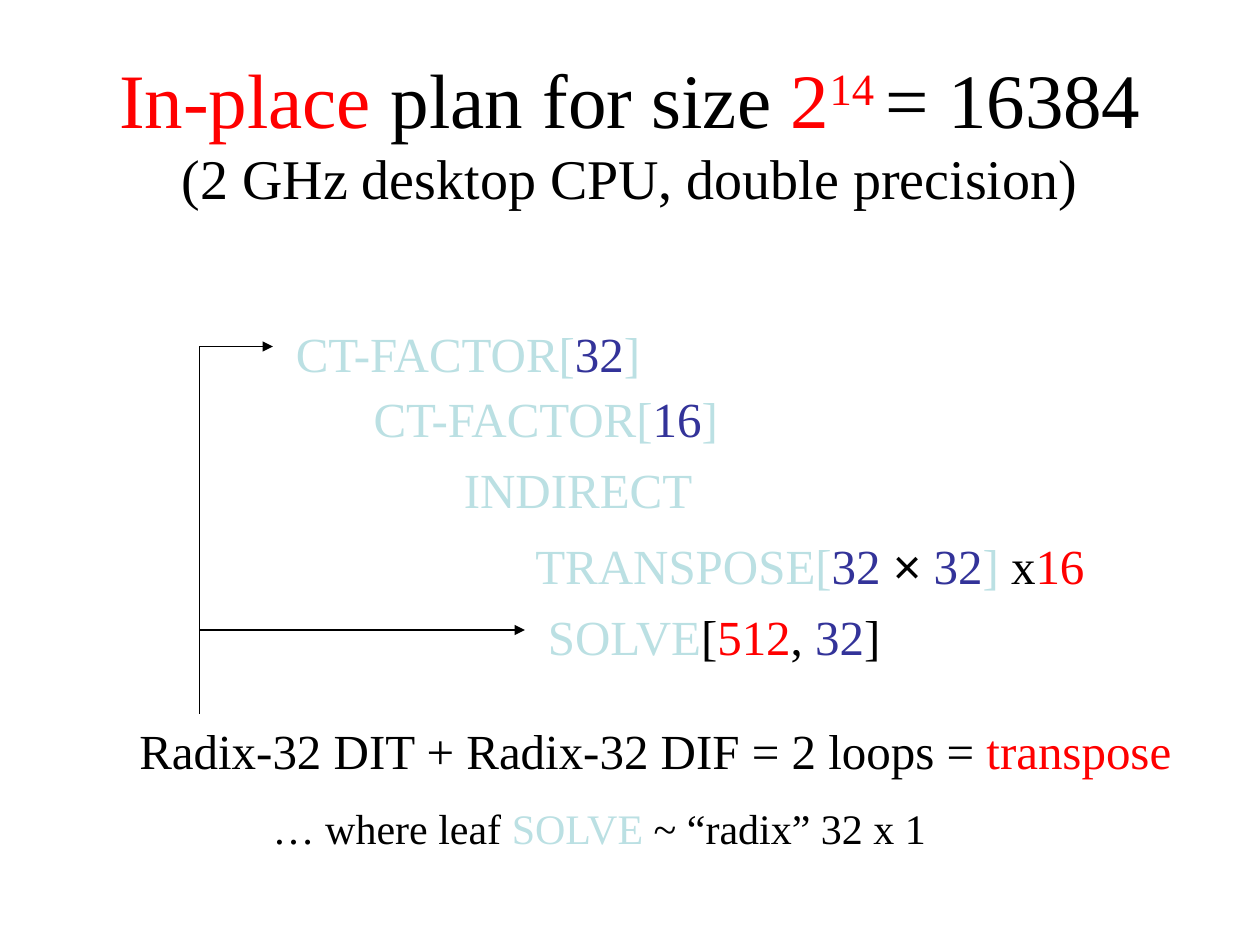
"""Build the slide on the in-place transform plan for size 16384."""
from dataclasses import dataclass
from typing import NamedTuple

from lxml import etree
from pptx import Presentation
from pptx.dml.color import RGBColor
from pptx.enum.shapes import MSO_CONNECTOR
from pptx.enum.text import MSO_ANCHOR, MSO_AUTO_SIZE, PP_ALIGN
from pptx.oxml.ns import qn
from pptx.util import Inches, Pt

STRAIGHT = MSO_CONNECTOR.STRAIGHT
MIDDLE = MSO_ANCHOR.MIDDLE
CENTER, LEFT = PP_ALIGN.CENTER, PP_ALIGN.LEFT
FIT_SHAPE, NO_FIT = MSO_AUTO_SIZE.SHAPE_TO_FIT_TEXT, MSO_AUTO_SIZE.NONE
TITLE_ONLY = 5
COLUMNS, ROWS = 120, 90
WIDTH, HEIGHT = Inches(10), Inches(7.5)


@dataclass(frozen=True)
class Theme:
    ink: str = "000000"
    accent: str = "FF0000"
    operation: str = "BBE0E3"
    number: str = "333399"
    font: str = "Times New Roman"
    symbol_font: str = "Arial"
    title: int = 44
    subtitle: int = 32
    step: int = 28
    remark: int = 24
    line: float = 0.75


THEME = Theme()


class Span(NamedTuple):
    text: str
    color: str = THEME.ink
    size: int | None = None
    font: str = THEME.font
    baseline: int = 0


class Line(NamedTuple):
    column: float
    row: float
    columns: float
    rows: float
    spans: tuple[Span, ...]
    size: int = THEME.step


class Route(NamedTuple):
    start: tuple[float, float]
    end: tuple[float, float]
    arrow: bool


def operation(text: str) -> Span:
    return Span(text, THEME.operation)


def number(text: str) -> Span:
    return Span(text, THEME.number)


def accent(text: str, **style) -> Span:
    return Span(text, THEME.accent, **style)


HEADING = (
    accent("In-place"), Span(" plan for size "), accent("2"),
    accent("14 ", baseline=30000), Span("= 16384\v"),
    Span("(2 GHz desktop CPU, double precision)", size=THEME.subtitle),
)
LINES = (
    Line(27, 30.25, 36, 6.8, (operation("CT-FACTOR["), number("32"), operation("]"))),
    Line(34.4, 36.4, 36, 6.8, (operation("CT-FACTOR["), number("16"), operation("]"))),
    Line(43, 43.2, 25, 6.8, (operation("INDIRECT"),)),
    Line(51, 57.2, 35, 6.8, (operation("SOLVE"), Span("["), accent("512"),
                             Span(", "), number("32"), Span("]"))),
    Line(49.8, 50.4, 56, 6.8, (operation("TRANSPOSE["), number("32 "),
                               Span("×", font=THEME.symbol_font), number(" 32"),
                               operation("] "), Span("x"), accent("16"))),
    Line(12.1, 68, 101, 6.8, (Span("Radix-32 DIT + Radix-32 DIF = 2 loops = "),
                              accent("transpose"))),
    Line(24.8, 75.8, 65, 6, (Span("… where leaf "), operation("SOLVE"),
                             Span(" ~ “radix” 32 x 1")), THEME.remark),
)
ROUTES = (
    Route((26, 33), (19, 33), True),
    Route((19, 33), (19, 68), False),
    Route((50, 60), (19, 60), True),
)


def across(columns: float) -> int:
    return round(WIDTH * columns / COLUMNS)


def down(rows: float) -> int:
    return round(HEIGHT * rows / ROWS)


def write(frame, spans: tuple[Span, ...], *, size: int, align=LEFT,
          wrap: bool = False, fit=FIT_SHAPE) -> None:
    frame.word_wrap = wrap
    frame.auto_size = fit
    paragraph = frame.paragraphs[0]
    paragraph.alignment = align
    for span in spans:
        head, *rest = span.text.split("\v")
        run = paragraph.add_run()
        run.text = head
        run.font.name = span.font
        run.font.size = Pt(span.size or size)
        run.font.color.rgb = RGBColor.from_string(span.color)
        if span.baseline:
            run._r.get_or_add_rPr().set("baseline", str(span.baseline))
        if rest:
            paragraph.add_line_break()


def draw_heading(slide) -> None:
    title = slide.shapes.title
    title.left, title.top = across(9), down(5)
    title.width, title.height = across(102), down(15)
    title.text_frame.vertical_anchor = MIDDLE
    write(title.text_frame, HEADING, size=THEME.title, align=CENTER, wrap=True, fit=NO_FIT)


def draw_line(slide, line: Line) -> None:
    box = slide.shapes.add_textbox(across(line.column), down(line.row),
                                   across(line.columns), down(line.rows))
    write(box.text_frame, line.spans, size=line.size)


def draw_route(slide, route: Route) -> None:
    (x1, y1), (x2, y2) = route.start, route.end
    connector = slide.shapes.add_connector(STRAIGHT, across(x1), down(y1),
                                           across(x2), down(y2))
    connector.line.color.rgb = RGBColor.from_string(THEME.ink)
    connector.line.width = Pt(THEME.line)
    if route.arrow:
        etree.SubElement(connector.line._get_or_add_ln(), qn("a:headEnd"), type="triangle")
    etree.SubElement(connector._element.spPr, qn("a:effectLst"))


def main() -> None:
    deck = Presentation()
    deck.slide_width, deck.slide_height = WIDTH, HEIGHT
    slide = deck.slides.add_slide(deck.slide_layouts[TITLE_ONLY])
    draw_heading(slide)
    for line in LINES:
        draw_line(slide, line)
    for route in ROUTES:
        draw_route(slide, route)
    deck.save("out.pptx")


if __name__ == "__main__":
    main()
